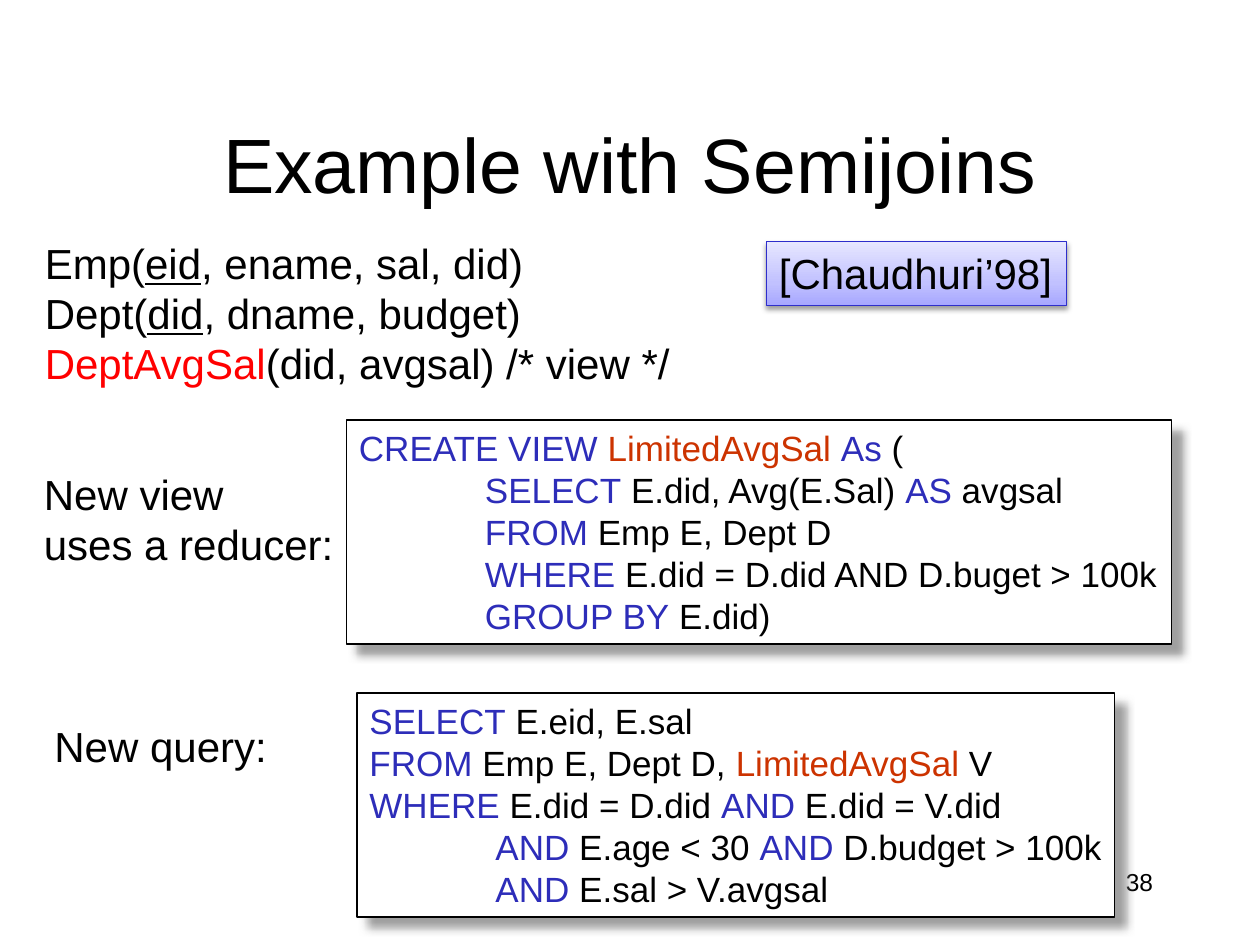
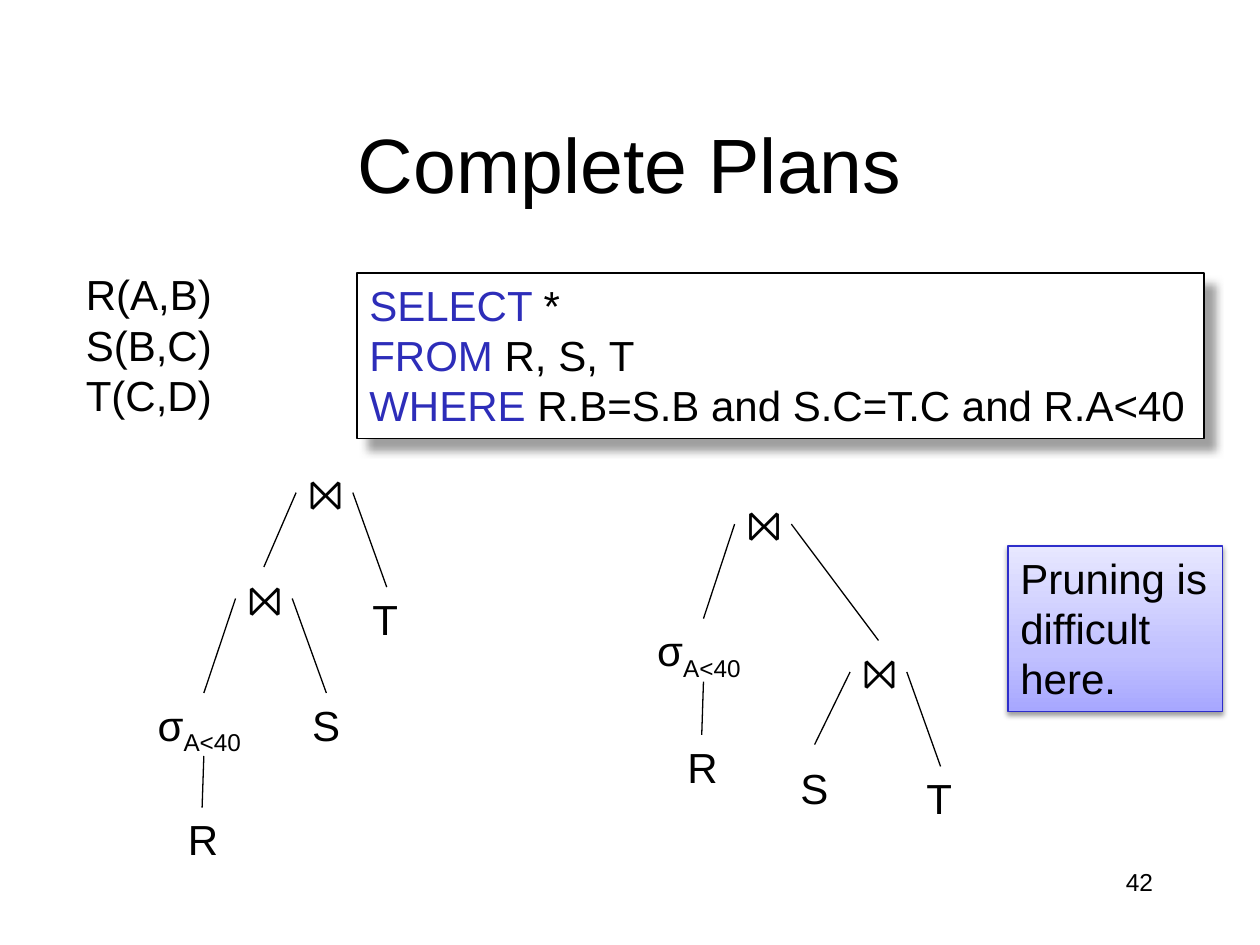
"""Builds two lecture slides on semijoin queries and complete query plans."""
from dataclasses import dataclass

from lxml.etree import SubElement
from pptx import Presentation
from pptx.dml.color import RGBColor
from pptx.enum.shapes import MSO_CONNECTOR, MSO_SHAPE
from pptx.enum.text import MSO_ANCHOR, MSO_AUTO_SIZE, PP_ALIGN
from pptx.oxml.ns import qn
from pptx.util import Pt

BLACK = RGBColor(0x00, 0x00, 0x00)
WHITE = RGBColor(0xFF, 0xFF, 0xFF)
KEYWORD_BLUE = RGBColor(0x2D, 0x2D, 0xB9)
VIEW_ORANGE = RGBColor(0xCC, 0x33, 0x00)
RED = RGBColor(0xFF, 0x00, 0x00)
NOTE_BORDER = RGBColor(0x2E, 0x2E, 0xCB)
QUERY_SHADOW = RGBColor(0x80, 0x80, 0x80)
NOTE_STOPS = (
    (0, RGBColor(0xA7, 0xA7, 0xFF)),
    (35, RGBColor(0xC1, 0xC1, 0xFF)),
    (100, RGBColor(0xE7, 0xE7, 0xFF)),
)

FONT = "Arial"
BODY_SIZE = 24
CODE_SIZE = 20
CODE_INDENT = 72
LINE_WIDTH = 0.75
NODE_HEIGHT = 36
JOIN_WIDTH = 32.4


@dataclass
class Styled:
    """A piece of a line that departs from the plain text."""
    text: str
    colour: RGBColor = None
    underline: bool = False
    subscript: bool = False


@dataclass
class Line:
    """A line of text made of plain and styled pieces."""
    pieces: tuple
    indent: float = 0


@dataclass
class Node:
    """A plan operator or relation, placed by its top centre."""
    label: object
    centre: float
    top: float
    width: float
    children: tuple = ()
    gap: float = 0


def line(*pieces, indent=0):
    """Collect pieces into a line."""
    return Line(pieces, indent)


def keyword(text):
    """Style an SQL keyword."""
    return Styled(text, KEYWORD_BLUE)


def view(text):
    """Style the name of a view."""
    return Styled(text, VIEW_ORANGE)


def key(text):
    """Style a key attribute."""
    return Styled(text, underline=True)


def write(frame, lines, size=BODY_SIZE, align=PP_ALIGN.LEFT):
    """Write lines into a text frame, one paragraph each."""
    for position, content in enumerate(lines):
        paragraph = frame.paragraphs[0] if position == 0 else frame.add_paragraph()
        paragraph.alignment = align
        paragraph.font.name = FONT
        paragraph.font.size = Pt(size)
        paragraph.font.color.rgb = BLACK
        if content.indent:
            paragraph._p.get_or_add_pPr().set("marL", str(Pt(content.indent)))
        for piece in content.pieces:
            styled = piece if isinstance(piece, Styled) else Styled(piece)
            run = paragraph.add_run()
            run.text = styled.text
            if styled.colour is not None:
                run.font.color.rgb = styled.colour
            if styled.underline:
                run.font.underline = True
            if styled.subscript:
                run.font._element.set("baseline", "-25000")


def add_text(slide, left, top, width, height, lines):
    """Add unwrapped body text."""
    frame = slide.shapes.add_textbox(Pt(left), Pt(top), Pt(width), Pt(height)).text_frame
    frame.word_wrap = False
    frame.auto_size = MSO_AUTO_SIZE.SHAPE_TO_FIT_TEXT
    write(frame, lines)


def add_colour(parent, colour):
    """Append an RGB colour element."""
    return SubElement(parent, qn("a:srgbClr"), val=str(colour))


def add_shadow(box, colour, opacity, blur, distance, angle):
    """Give a box its own outer shadow."""
    box.shadow.inherit = False
    effects = box._element.spPr.find(qn("a:effectLst"))
    outer = SubElement(
        effects, qn("a:outerShdw"), blurRad=str(Pt(blur)), dist=str(Pt(distance)),
        dir=str(angle * 60000), algn="ctr", rotWithShape="0")
    SubElement(add_colour(outer, colour), qn("a:alpha"), val=str(opacity * 1000))


def add_box(slide, left, top, width, height, lines, border, size):
    """Add a bordered rectangle with left-aligned text."""
    box = slide.shapes.add_shape(
        MSO_SHAPE.RECTANGLE, Pt(left), Pt(top), Pt(width), Pt(height))
    box.line.color.rgb = border
    box.line.width = Pt(LINE_WIDTH)
    frame = box.text_frame
    frame.word_wrap = False
    frame.auto_size = MSO_AUTO_SIZE.SHAPE_TO_FIT_TEXT
    frame.vertical_anchor = MSO_ANCHOR.TOP
    write(frame, lines, size)
    return box


def add_query(slide, left, top, width, height, lines, size=CODE_SIZE):
    """Add a white box holding SQL."""
    box = add_box(slide, left, top, width, height, lines, BLACK, size)
    box.fill.solid()
    box.fill.fore_color.rgb = WHITE
    add_shadow(box, QUERY_SHADOW, 75, 5, 8.5, 45)


def add_note(slide, left, top, width, height, lines):
    """Add a lilac gradient box holding a remark."""
    box = add_box(slide, left, top, width, height, lines, NOTE_BORDER, BODY_SIZE)
    box.fill.gradient()
    box.fill.gradient_angle = 90
    stops = box._element.spPr.find(qn("a:gradFill")).find(qn("a:gsLst"))
    for stop in list(stops):
        stops.remove(stop)
    for position, colour in NOTE_STOPS:
        add_colour(SubElement(stops, qn("a:gs"), pos=str(position * 1000)), colour)
    add_shadow(box, BLACK, 38, 3.1, 1.6, 90)


def add_edge(slide, start, end):
    """Draw a thin black line between two points."""
    edge = slide.shapes.add_connector(
        MSO_CONNECTOR.STRAIGHT, *(Pt(length) for length in start + end))
    edge.line.color.rgb = BLACK
    edge.line.width = Pt(LINE_WIDTH)
    SubElement(edge._element.spPr, qn("a:effectLst"))


def add_plan(slide, node):
    """Draw a plan tree; joins branch from their sides, selections from below."""
    add_text(slide, node.centre - node.width / 2, node.top, node.width, NODE_HEIGHT,
             [node.label])
    if len(node.children) == 2:
        middle = node.top + NODE_HEIGHT / 2
        starts = [(node.centre + side * node.width / 2, middle) for side in (-1, 1)]
    else:
        starts = [(node.centre, node.top + NODE_HEIGHT)]
    for start, child in zip(starts, node.children):
        add_edge(slide, start, (child.centre, child.top - child.gap))
        add_plan(slide, child)


def join(centre, top, *children):
    """Make a join node."""
    return Node(line("⨝"), centre, top, JOIN_WIDTH, children)


def selection(centre, top, child):
    """Make the selection node on A."""
    return Node(line("σ", Styled("A<40", subscript=True)), centre, top, 67, (child,))


def relation(name, centre, top, gap=0):
    """Make a leaf node for a relation."""
    return Node(line(name), centre, top, 30.5, gap=gap)


def add_slide(deck, title, number):
    """Add a blank slide with its title and number."""
    slide = deck.slides.add_slide(deck.slide_layouts[6])
    heading = slide.shapes.add_textbox(Pt(54), Pt(48), Pt(612), Pt(90)).text_frame
    heading.word_wrap = True
    heading.vertical_anchor = MSO_ANCHOR.MIDDLE
    write(heading, [line(title)], 44, PP_ALIGN.CENTER)
    footer = slide.shapes.add_textbox(Pt(516), Pt(492), Pt(150), Pt(36)).text_frame
    footer.word_wrap = True
    write(footer, [line(number)], 14, PP_ALIGN.RIGHT)
    return slide


def build_semijoins(deck):
    """Build the slide on rewriting a query with a reducer view."""
    slide = add_slide(deck, "Example with Semijoins", "38")
    add_query(slide, 198, 240, 471.5, 128, [
        line(keyword("CREATE VIEW "), view("LimitedAvgSal "), keyword("As"), " ("),
        line(keyword("SELECT"), " E.did, Avg(E.Sal) ", keyword("AS"), " avgsal",
             indent=CODE_INDENT),
        line(keyword("FROM"), " Emp E, Dept D", indent=CODE_INDENT),
        line(keyword("WHERE"), " E.did = D.did AND D.buget > 100k", indent=CODE_INDENT),
        line(keyword("GROUP BY"), " E.did)", indent=CODE_INDENT),
    ])
    add_note(slide, 438, 138, 171.5, 36.5, [line("[Chaudhuri’98]")])
    add_text(slide, 18, 264, 180, 65, [line("New view"), line("uses a reducer:")])
    add_text(slide, 18.5, 132, 372, 94, [
        line("Emp(", key("eid"), ", ename, sal, did)"),
        line("Dept(", key("did"), ", dname, budget)"),
        line(Styled("DeptAvgSal", RED), "(did, avgsal) /* view */"),
    ])
    add_query(slide, 204, 396, 433, 128, [
        line(keyword("SELECT"), " E.eid, E.sal"),
        line(keyword("FROM"), " Emp E, Dept D, ", view("LimitedAvgSal"), " V"),
        line(keyword("WHERE"), " E.did = D.did ", keyword("AND"), " E.did = V.did"),
        line(keyword("AND"), " E.age < 30 ", keyword("AND"), " D.budget > 100k",
             indent=CODE_INDENT),
        line(keyword("AND"), " E.sal > V.avgsal", indent=CODE_INDENT),
    ])
    add_text(slide, 24, 408, 136, 36, [line("New query:")])


def build_plans(deck):
    """Build the slide comparing a left-deep and a bushy plan."""
    slide = add_slide(deck, "Complete Plans", "42")
    add_query(slide, 204, 156, 484, 94.5, [
        line(keyword("SELECT "), "*"),
        line(keyword("FROM"), " R, S, T"),
        line(keyword("WHERE"), " R.B=S.B and S.C=T.C and R.A<40"),
    ], BODY_SIZE)
    add_plan(slide, join(
        185.4, 263.5,
        join(150.8, 324,
             selection(116.5, 396, relation("R", 115.5, 461.5)),
             relation("S", 186.5, 396)),
        relation("T", 221, 335.5)))
    add_plan(slide, join(
        436, 281.5,
        selection(402, 353.5, relation("R", 401, 420)),
        join(502, 366,
             relation("S", 465.5, 432, gap=6.5),
             relation("T", 537.5, 438))))
    add_note(slide, 576, 312, 122.5, 94.5,
             [line("Pruning is"), line("difficult"), line("here.")])
    add_text(slide, 42, 150, 86.5, 94, [line("R(A,B)"), line("S(B,C)"), line("T(C,D)")])


def main():
    """Build and save the deck."""
    deck = Presentation()
    deck.slide_width, deck.slide_height = Pt(720), Pt(540)
    build_semijoins(deck)
    build_plans(deck)
    deck.save("out.pptx")


main()
